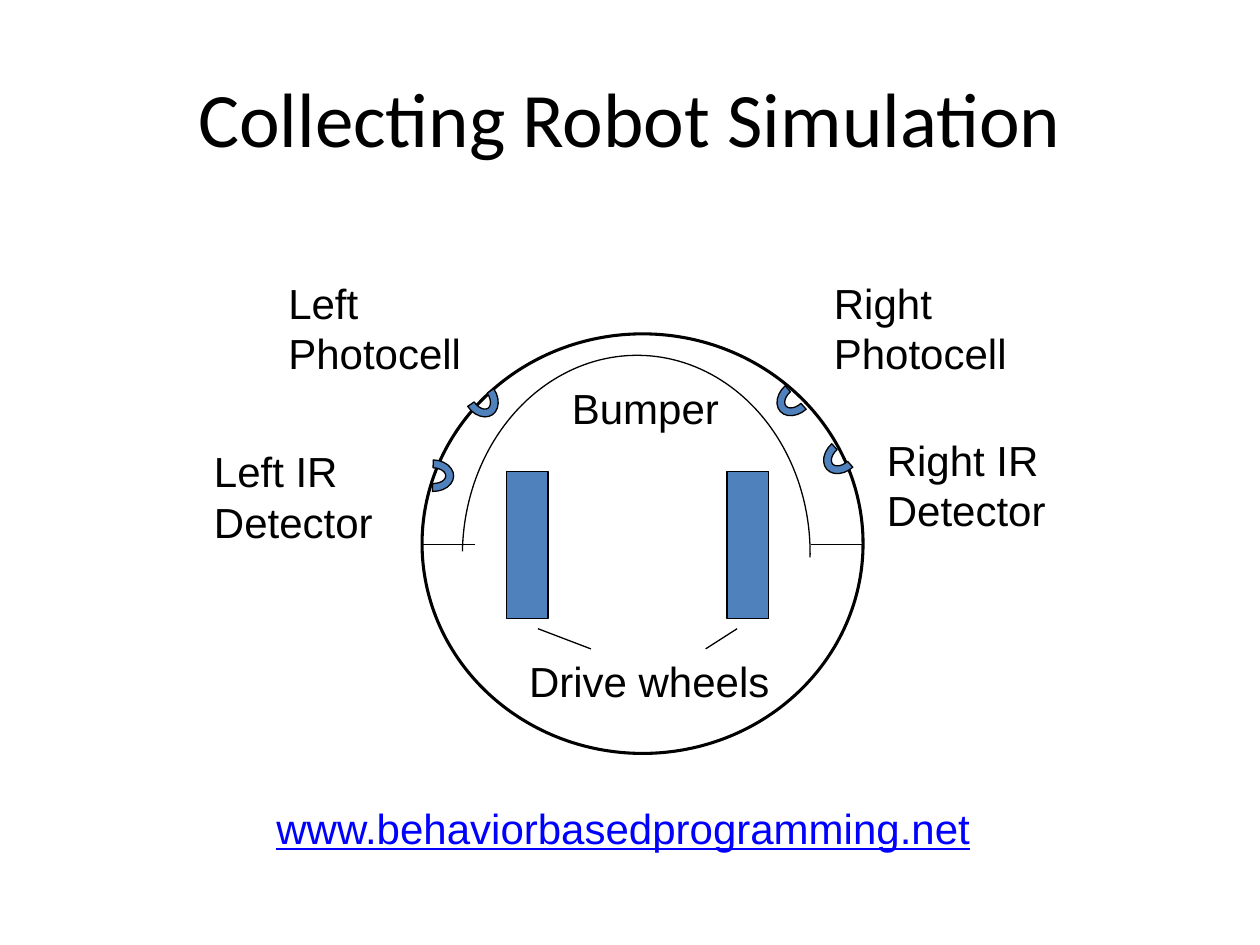
import pptx
import pptx.dml.color
import pptx.enum.shapes
import pptx.enum.text
import pptx.util
from lxml import etree

Inches = pptx.util.Inches
MSO = pptx.enum.shapes.MSO_SHAPE
ALIGN = pptx.enum.text.PP_ALIGN
ANCHOR = pptx.enum.text.MSO_ANCHOR
BLACK = "000000"
BLUE = "4F81BD"


def rgb(value):
    """Return the colour for a hex string."""
    return pptx.dml.color.RGBColor.from_string(value)


def write(tf, text, font="Arial", size=24, color=BLACK, align=ALIGN.LEFT, underline=False):
    """Fill a text frame, one paragraph per line of text."""
    for i, line in enumerate(text.split("\n")):
        p = tf.paragraphs[0] if i == 0 else tf.add_paragraph()
        p.alignment = align
        r = p.add_run()
        r.text = line
        r.font.name = font
        r.font.size = pptx.util.Pt(size)
        r.font.color.rgb = rgb(color)
        r.font.underline = underline


def add_title(s, text):
    """Place and write the slide title."""
    sp = s.shapes.title
    sp.left, sp.top, sp.width, sp.height = map(Inches, (0.5, 0.3, 9, 1.25))
    sp.text_frame.vertical_anchor = ANCHOR.MIDDLE
    write(sp.text_frame, text, font="Calibri", size=44, align=ALIGN.CENTER)


def add_label(s, text, x, y, w, h=0.5, **fmt):
    """Add an unwrapped text box."""
    tf = s.shapes.add_textbox(*map(Inches, (x, y, w, h))).text_frame
    tf.word_wrap = False
    write(tf, text, **fmt)


def add_part(s, kind, x, y, w, h, fill=None, weight=0.75, rotation=0):
    """Add an outlined preset shape, filled when a colour is given."""
    sp = s.shapes.add_shape(kind, *map(Inches, (x, y, w, h)))
    sp.shadow.inherit = False
    sp.rotation = rotation
    sp.line.color.rgb = rgb(BLACK)
    sp.line.width = pptx.util.Pt(weight)
    if fill:
        sp.fill.solid()
        sp.fill.fore_color.rgb = rgb(fill)
    else:
        sp.fill.background()
    return sp


def add_line(s, x1, y1, x2, y2):
    """Add a thin black line without a shadow."""
    c = s.shapes.add_connector(
        pptx.enum.shapes.MSO_CONNECTOR.STRAIGHT, *map(Inches, (x1, y1, x2, y2)))
    c.line.color.rgb = rgb(BLACK)
    c.line.width = pptx.util.Pt(0.75)
    ns = "http://schemas.openxmlformats.org/drawingml/2006/main"
    etree.SubElement(c._element.spPr, "{%s}effectLst" % ns)


def main():
    """Build the robot slide."""
    prs = pptx.Presentation()
    prs.slide_width, prs.slide_height = Inches(10), Inches(7.5)
    s = prs.slides.add_slide(prs.slide_layouts[5])
    add_title(s, "Collecting Robot Simulation")

    add_part(s, MSO.OVAL, 3.35, 2.65, 3.5, 3.33, weight=1.75)
    for x in (4.02, 5.77):
        add_part(s, MSO.RECTANGLE, x, 3.74, 0.33, 1.17, fill=BLUE)
    bumper = add_part(s, MSO.ARC, 3.67, 2.82, 2.76, 3.16, rotation=1)
    bumper.adjustments[0] = 108
    for x, y, rotation in ((6.19, 2.99, 228.1), (6.56, 3.45, 228.1),
                           (3.69, 2.99, 145.9), (3.31, 3.61, 91.6)):
        add_part(s, MSO.BLOCK_ARC, x, y, 0.25, 0.33, fill=BLUE, rotation=rotation)
    for ends in ((6.44, 4.32, 6.85, 4.32), (3.35, 4.32, 3.77, 4.32),
                 (4.27, 4.99, 4.69, 5.15), (5.6, 5.15, 5.85, 4.99)):
        add_line(s, *ends)

    add_label(s, "Bumper", 4.44, 2.99, 1.37)
    add_label(s, "Drive wheels", 4.1, 5.15, 2.11)
    for text, x, y, w in (("Left\nPhotocell", 2.19, 2.15, 1.57),
                          ("Right\nPhotocell", 6.52, 2.15, 1.57),
                          ("Left IR\nDetector", 1.6, 3.49, 1.46),
                          ("Right IR\nDetector", 6.94, 3.4, 1.46)):
        add_label(s, text, x, y, w, 0.9)
    add_label(s, "www.behaviorbasedprogramming.net", 1.97, 6.32, 5.95,
              color="0000FF", align=ALIGN.CENTER, underline=True)
    prs.save("out.pptx")


main()
